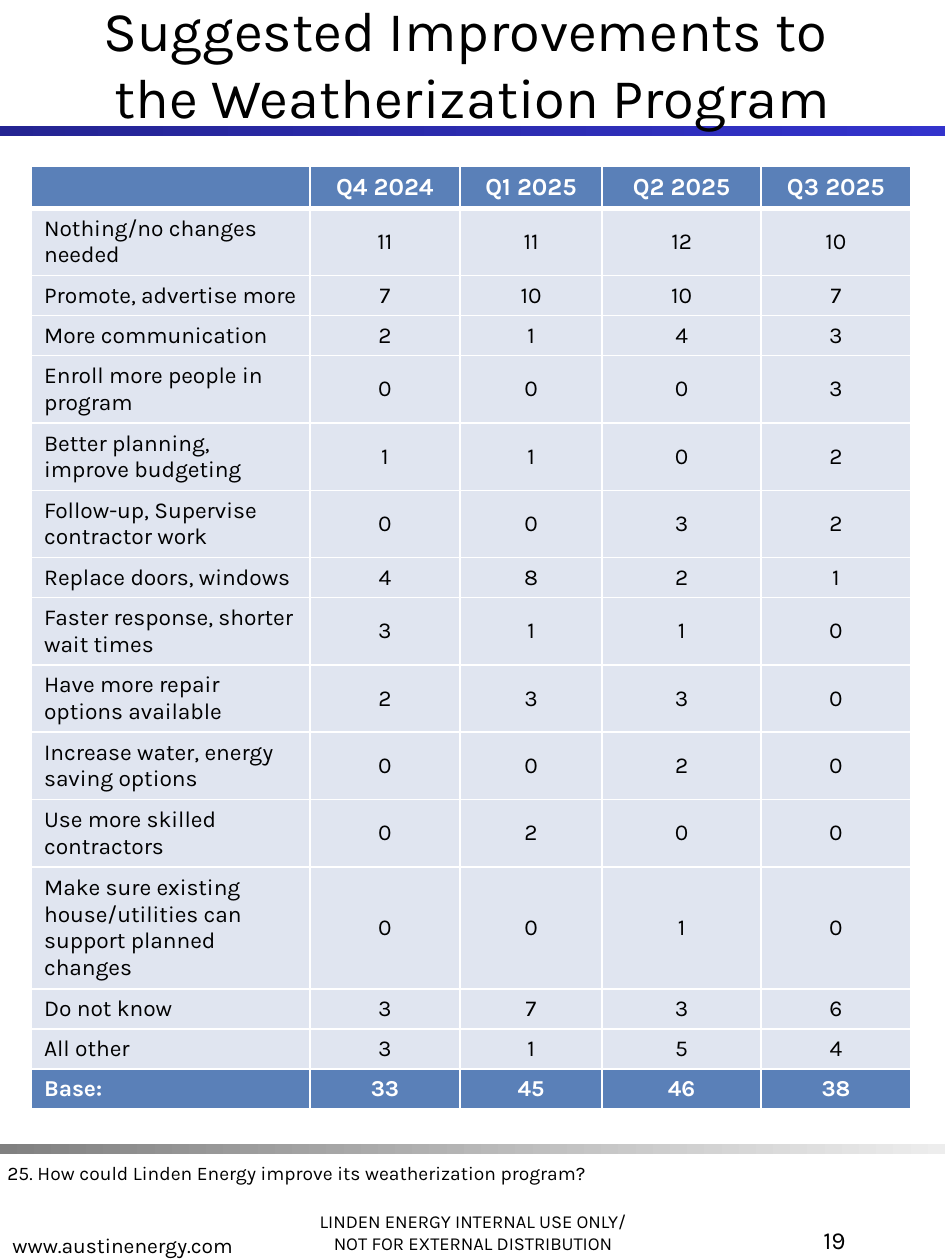
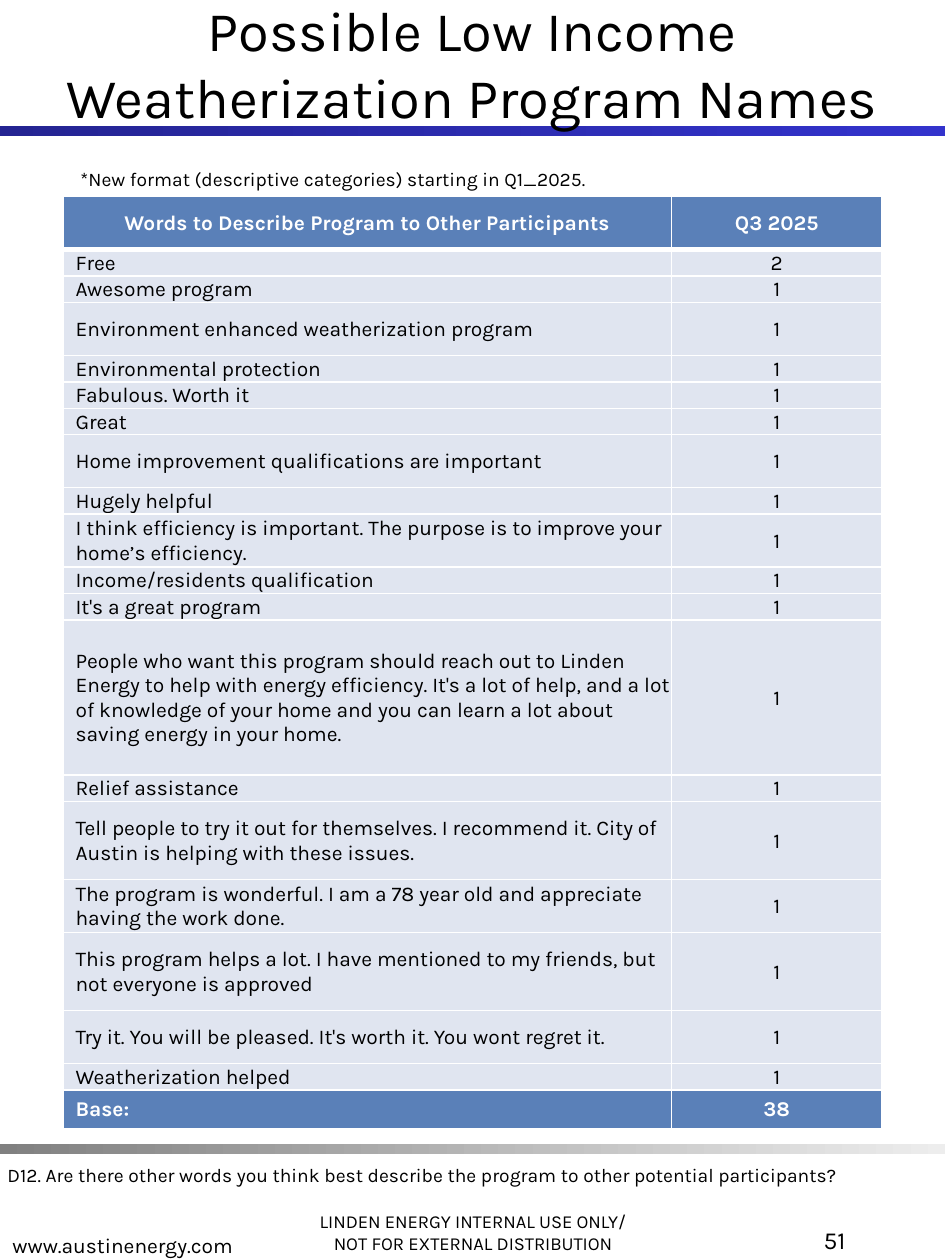
import dataclasses

import lxml.etree
import pptx
import pptx.dml.color
import pptx.enum.shapes
import pptx.enum.text
import pptx.oxml.ns
import pptx.util

Inches = pptx.util.Inches
ALIGN = pptx.enum.text.PP_ALIGN
ANCHOR = pptx.enum.text.MSO_ANCHOR
RGB = pptx.dml.color.RGBColor.from_string


@dataclasses.dataclass(frozen=True)
class Theme:
    font: str = "Karla"
    text: str = "000000"
    white: str = "FFFFFF"
    header_fill: str = "5A80B8"
    body_fill: str = "E0E5F0"
    title_band: tuple = ("242492", "3333CC")
    footer_band: tuple = ("808080", "EDEDED")
    title_size: float = 32
    page_size: float = 14
    address_size: float = 12
    note_size: float = 11
    notice_size: float = 10.5
    border: float = 1
    header_border: float = 3


theme = Theme()


def write_text(text_frame, paragraphs, size, align, color=theme.text, bold=False):
    """Write paragraphs; a newline inside one becomes a line break."""
    for index, text in enumerate(paragraphs):
        paragraph = text_frame.paragraphs[0] if index == 0 else text_frame.add_paragraph()
        paragraph.alignment = align
        if not text:
            tag = pptx.oxml.ns.qn("a:endParaRPr")
            lxml.etree.SubElement(paragraph._p, tag, sz=str(int(size * 100)))
            continue
        for line_number, line in enumerate(text.split("\n")):
            if line_number:
                paragraph.add_line_break()
            run = paragraph.add_run()
            run.text = line
            run.font.name = theme.font
            run.font.size = pptx.util.Pt(size)
            run.font.bold = bold
            run.font.color.rgb = RGB(color)


def set_borders(cell, top, bottom):
    """Give a cell white borders, with the top and bottom widths in points."""
    properties = cell._tc.get_or_add_tcPr()
    widths = {"lnL": theme.border, "lnR": theme.border, "lnT": top, "lnB": bottom}
    for side, width in widths.items():
        line = lxml.etree.SubElement(
            properties, pptx.oxml.ns.qn(f"a:{side}"), w=str(pptx.util.Pt(width)))
        fill = lxml.etree.SubElement(line, pptx.oxml.ns.qn("a:solidFill"))
        lxml.etree.SubElement(fill, pptx.oxml.ns.qn("a:srgbClr"), val=theme.white)


# Table rows
improvement_rows = [
    ("", "Q4 2024", "Q1 2025", "Q2 2025", "Q3 2025"),
    ("Nothing/no changes needed", 11, 11, 12, 10),
    ("Promote, advertise more", 7, 10, 10, 7),
    ("More communication", 2, 1, 4, 3),
    ("Enroll more people in program", 0, 0, 0, 3),
    ("Better planning, improve budgeting", 1, 1, 0, 2),
    ("Follow-up, Supervise contractor work", 0, 0, 3, 2),
    ("Replace doors, windows", 4, 8, 2, 1),
    ("Faster response, shorter wait times", 3, 1, 1, 0),
    ("Have more repair options available", 2, 3, 3, 0),
    ("Increase water, energy saving options", 0, 0, 2, 0),
    ("Use more skilled contractors", 0, 2, 0, 0),
    ("Make sure existing house/utilities can support planned changes", 0, 0, 1, 0),
    ("Do not know", 3, 7, 3, 6),
    ("All other", 3, 1, 5, 4),
    ("Base:", 33, 45, 46, 38),
]
description_rows = [
    ("Words to Describe Program to Other Participants", "Q3 2025"),
    ("Free", 2),
    ("Awesome program", 1),
    ("Environment enhanced weatherization program", 1),
    ("Environmental protection", 1),
    ("Fabulous. Worth it", 1),
    ("Great", 1),
    ("Home improvement qualifications are important", 1),
    ("Hugely helpful", 1),
    ("I think efficiency is important. The purpose is to improve your "
     "home’s efficiency.", 1),
    ("Income/residents qualification", 1),
    ("It's a great program", 1),
    ("People who want this program should reach out to Linden Energy to help with "
     "energy efficiency. It's a lot of help, and a lot of knowledge of your home and "
     "you can learn a lot about saving energy in your home.", 1),
    ("Relief assistance", 1),
    ("Tell people to try it out for themselves. I recommend it. City of Austin is "
     "helping with these issues.", 1),
    ("The program is wonderful. I am a 78 year old and appreciate having the work "
     "done.", 1),
    ("This program helps a lot. I have mentioned to my friends, but not everyone is "
     "approved", 1),
    ("Try it. You will be pleased. It's worth it. You wont regret it.", 1),
    ("Weatherization helped", 1),
    ("Base:", 38),
]

# What differs between the slides
pages = [
    dict(
        title="Suggested Improvements to \nthe Weatherization Program",
        number="19",
        question="25. How could Linden Energy improve its weatherization program?",
        question_top=9.17,
        format_note=None,
        rows=improvement_rows,
        table_box=(0.25, 1.32, 6.98, 7.32),
        column_widths=[2.21, 1.19, 1.13, 1.26, 1.19],
        row_heights=[0.31] * len(improvement_rows),
        header_size=14,
        body_size=13,
        tight=False,
    ),
    dict(
        title="Possible Low Income Weatherization Program Names",
        number="51",
        question="D12. Are there other words you think best describe the program "
                 "to other potential participants?",
        question_top=9.18,
        format_note="*New format (descriptive categories) starting in Q1_2025.",
        rows=description_rows,
        table_box=(0.5, 1.56, 6.5, 7.44),
        column_widths=[4.83, 1.67],
        row_heights=[0.42, 0.21, 0.21, 0.42, 0.21, 0.21, 0.21, 0.42, 0.21, 0.42,
                     0.21, 0.21, 1.23, 0.21, 0.62, 0.42, 0.62, 0.42, 0.21, 0.31],
        header_size=12,
        body_size=12,
        tight=True,
    ),
]

presentation = pptx.Presentation()
presentation.slide_width = Inches(7.5)
presentation.slide_height = Inches(10)

for page in pages:
    slide = presentation.slides.add_slide(presentation.slide_layouts[6])

    # Gradient bands under the title and above the footer
    for top, colors in ((1, theme.title_band), (9.08, theme.footer_band)):
        band = slide.shapes.add_shape(
            pptx.enum.shapes.MSO_SHAPE.RECTANGLE,
            Inches(0), Inches(top), Inches(7.5), Inches(0.08))
        band.shadow.inherit = False
        band.line.fill.background()
        band.fill.gradient()
        band.fill.gradient_angle = 0
        for stop, color in zip(band.fill.gradient_stops, colors):
            stop.color.rgb = RGB(color)

    # Title, footer and notes: box, paragraphs, size, alignment, anchor
    texts = [
        ((2.16, 9.33, 3.19, 0.67),
         ["LINDEN ENERGY INTERNAL USE ONLY/", "NOT FOR EXTERNAL DISTRIBUTION"],
         theme.notice_size, ALIGN.CENTER, ANCHOR.BOTTOM),
        ((0, 9.36, 3.19, 0.67), ["www.austinenergy.com"],
         theme.address_size, ALIGN.LEFT, ANCHOR.BOTTOM),
        ((0, 0, 7.5, 1), [page["title"]],
         theme.title_size, ALIGN.CENTER, ANCHOR.MIDDLE),
        ((5.25, 9.67, 1.56, 0.33), [page["number"]],
         theme.page_size, ALIGN.RIGHT, ANCHOR.TOP),
        ((-0.04, page["question_top"], 6.85, 0.29), [page["question"]],
         theme.note_size, ALIGN.LEFT, ANCHOR.TOP),
    ]
    if page["format_note"]:
        texts.append(((0.54, 1.28, 6.44, 0.29), [page["format_note"]],
                      theme.note_size, ALIGN.LEFT, ANCHOR.TOP))
    for box, paragraphs, size, align, anchor in texts:
        text_frame = slide.shapes.add_textbox(*map(Inches, box)).text_frame
        text_frame.word_wrap = True
        text_frame.vertical_anchor = anchor
        write_text(text_frame, paragraphs, size, align)

    # Table
    rows = page["rows"]
    table_shape = slide.shapes.add_table(
        len(rows), len(rows[0]), *map(Inches, page["table_box"]))
    table = table_shape.table
    for column, width in zip(table.columns, page["column_widths"]):
        column.width = Inches(width)
    for row, height in zip(table.rows, page["row_heights"]):
        row.height = Inches(height)
    table_shape.height = Inches(page["table_box"][3])

    last_row = len(rows) - 1
    for row_index, values in enumerate(rows):
        is_header = row_index == 0
        is_strong = row_index in (0, last_row)
        for column_index, value in enumerate(values):
            cell = table.cell(row_index, column_index)
            is_label = column_index == 0 and not is_header
            set_borders(
                cell,
                top=theme.header_border if row_index == 1 else theme.border,
                bottom=theme.header_border if is_header else theme.border)
            cell.fill.solid()
            cell.fill.fore_color.rgb = RGB(
                theme.header_fill if is_strong else theme.body_fill)
            cell.vertical_anchor = ANCHOR.MIDDLE
            if page["tight"] and row_index != last_row:
                cell.margin_left = Inches(0.1 if is_label else 0.01)
                cell.margin_top = cell.margin_right = Inches(0.01)
                cell.margin_bottom = 0
            write_text(
                cell.text_frame, [str(value)],
                page["header_size"] if is_header else page["body_size"],
                ALIGN.LEFT if is_label else ALIGN.CENTER,
                theme.white if is_strong else theme.text, is_strong)

presentation.save("out.pptx")
